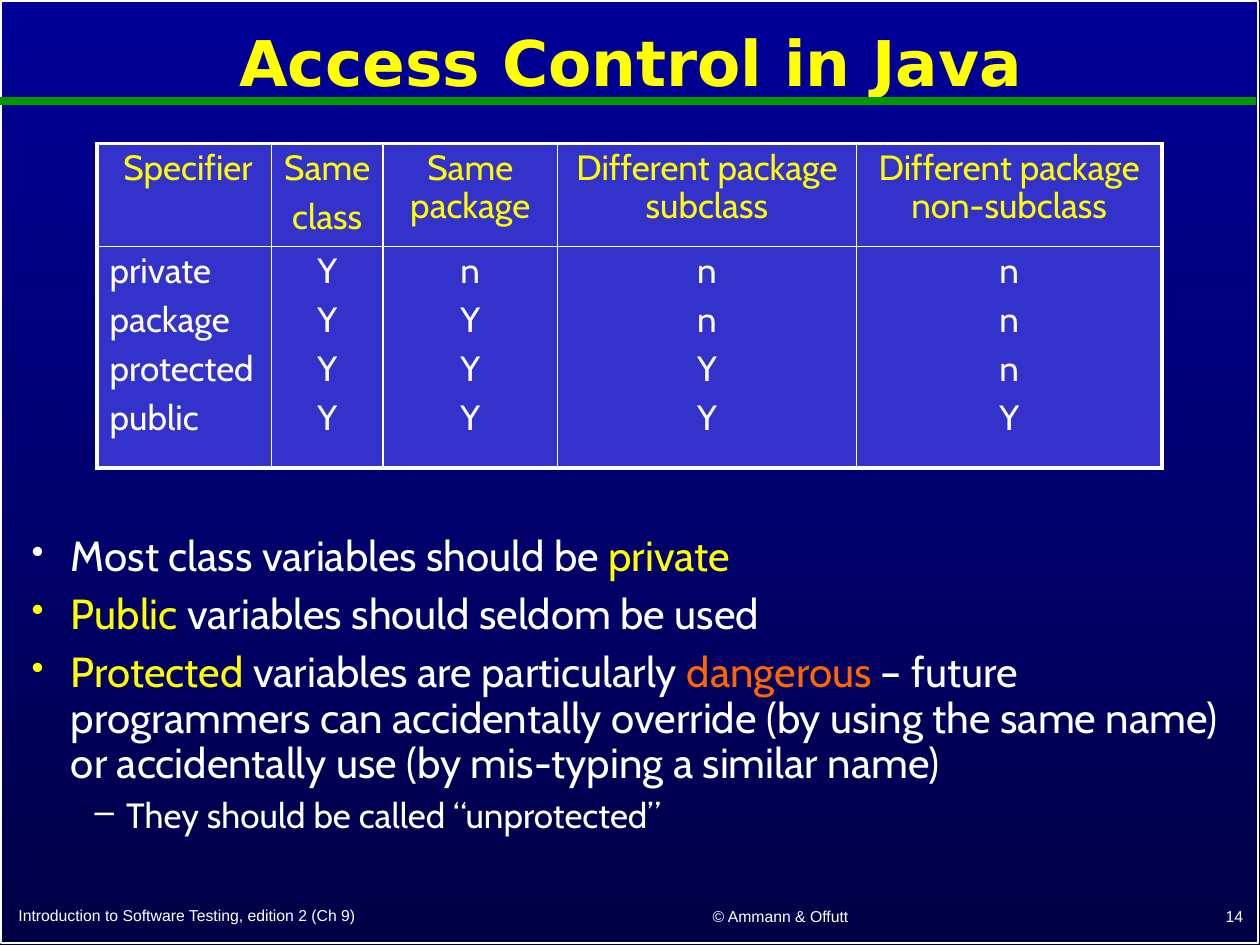
from dataclasses import dataclass

from lxml import etree
from pptx import Presentation
from pptx import util as u
from pptx.dml.color import RGBColor
from pptx.enum import shapes, text
from pptx.oxml import ns

LEFT, CENTER, RIGHT = text.PP_ALIGN.LEFT, text.PP_ALIGN.CENTER, text.PP_ALIGN.RIGHT
MIDDLE, TOP = text.MSO_ANCHOR.MIDDLE, text.MSO_ANCHOR.TOP


@dataclass(frozen=True)
class Theme:
    sky: str = "000099"
    deep: str = "000047"
    cell: str = "3333CC"
    plain: str = "FFFFFF"
    accent: str = "FFFF00"
    warning: str = "FF6600"
    rule: str = "009900"
    title_font: str = "DejaVu Sans"
    body_font: str = "Cabin"
    footer_font: str = "Arial"
    title_size: int = 36
    body_size: int = 24
    detail_size: int = 20
    footer_size: int = 9
    line_spacing: float = 0.9
    space_before: float = 0.3  # share of the type size


def rgb(code):
    return RGBColor.from_string(code)


def add_xml(parent, tag, **attributes):
    return etree.SubElement(parent, ns.qn(tag), attributes)


class SlideBuilder:
    def __init__(self, slide, theme):
        self.slide, self.theme = slide, theme

    def background(self):
        fill = self.slide.background.fill
        fill.gradient()
        fill.gradient_angle = 270
        for stop, color, position in zip(
            fill.gradient_stops, (self.theme.sky, self.theme.deep), (0, 1)
        ):
            stop.color.rgb = rgb(color)
            stop.position = position

    def frame(self, left, top, width, height):
        border = self.slide.shapes.add_shape(
            shapes.MSO_SHAPE.RECTANGLE, *map(u.Pt, (left, top, width, height))
        )
        border.shadow.inherit = False
        border.fill.background()
        border.line.color.rgb = rgb(self.theme.plain)
        border.line.width = u.Pt(1)

    def rule(self, y, end, weight):
        line = self.slide.shapes.add_connector(
            shapes.MSO_CONNECTOR.STRAIGHT, 0, u.Pt(y), u.Pt(end), u.Pt(y)
        )
        line.line.color.rgb = rgb(self.theme.rule)
        line.line.width = u.Pt(weight)
        add_xml(line._element.spPr, "a:effectLst")

    def runs(self, paragraph, pieces, font, size, bold=False):
        """Add (wording, colour) pieces to a paragraph."""
        for wording, color in pieces:
            run = paragraph.add_run()
            run.text = wording
            run.font.name, run.font.size, run.font.bold = font, u.Pt(size), bold
            run.font.color.rgb = rgb(color)

    def spacing(self, paragraph, first, size):
        paragraph.line_spacing = self.theme.line_spacing
        if not first:
            paragraph.space_before = u.Pt(size * self.theme.space_before)

    def title(self, wording, left, top, width, height):
        heading = self.slide.shapes.title
        heading.left, heading.top = u.Pt(left), u.Pt(top)
        heading.width, heading.height = u.Pt(width), u.Pt(height)
        frame = heading.text_frame
        frame.vertical_anchor, frame.word_wrap = MIDDLE, True
        frame.auto_size = text.MSO_AUTO_SIZE.NONE
        paragraph = frame.paragraphs[0]
        paragraph.alignment = CENTER
        self.spacing(paragraph, True, self.theme.title_size)
        self.runs(paragraph, [(wording, self.theme.accent)],
                  self.theme.title_font, self.theme.title_size, True)

    def text_frame(self, left, top, width, height, anchor):
        box = self.slide.shapes.add_textbox(*map(u.Pt, (left, top, width, height)))
        box.text_frame.word_wrap = True
        box.text_frame.vertical_anchor = anchor
        return box.text_frame

    def footer(self, wording, left, top, width, height, align):
        paragraph = self.text_frame(left, top, width, height, MIDDLE).paragraphs[0]
        paragraph.alignment = align
        self.runs(paragraph, [(wording, self.theme.plain)],
                  self.theme.footer_font, self.theme.footer_size)

    def bullets(self, points, left, top, width, height):
        """Draw (level, pieces) points as a two-level list."""
        theme = self.theme
        styles = [(22.5, 22.5, "•", 85, theme.body_size),
                  (54, 18, "–", 100, theme.detail_size)]
        frame = self.text_frame(left, top, width, height, TOP)
        for index, (level, pieces) in enumerate(points):
            margin, hanging, mark, percent, size = styles[level]
            paragraph = frame.add_paragraph() if index else frame.paragraphs[0]
            paragraph.level = level
            self.spacing(paragraph, index == 0, size)
            properties = paragraph._p.get_or_add_pPr()
            properties.set("marL", str(u.Pt(margin)))
            properties.set("indent", str(-u.Pt(hanging)))
            add_xml(properties, "a:buSzPct", val=str(percent * 1000))
            add_xml(properties, "a:buChar", char=mark)
            self.runs(paragraph, pieces, theme.body_font, size)

    def cell_borders(self, cell, weights):
        properties = cell._tc.get_or_add_tcPr()
        for side, weight in weights.items():
            line = add_xml(properties, f"a:ln{side}", w=str(u.Pt(weight)))
            solid = add_xml(line, "a:solidFill")
            add_xml(solid, "a:srgbClr", val=self.theme.plain)

    def table(self, rows, left, top, widths, heights):
        """Draw rows whose cells are lists of lines; the first row is the header."""
        theme = self.theme
        grid = self.slide.shapes.add_table(
            len(heights), len(widths),
            *map(u.Pt, (left, top, sum(widths), sum(heights)))
        ).table
        for column, width in zip(grid.columns, widths):
            column.width = u.Pt(width)
        last_row, last_column = len(heights) - 1, len(widths) - 1
        for r, (row, height) in enumerate(zip(rows, heights)):
            grid.rows[r].height = u.Pt(height)
            for c, lines in enumerate(row):
                cell = grid.cell(r, c)
                outer = {"L": c == 0, "R": c == last_column,
                         "T": r == 0, "B": r == last_row}
                self.cell_borders(
                    cell, {side: 2.25 if edge else 1 for side, edge in outer.items()})
                cell.fill.solid()
                cell.fill.fore_color.rgb = rgb(theme.cell)
                for index, line in enumerate(lines):
                    frame = cell.text_frame
                    paragraph = frame.add_paragraph() if index else frame.paragraphs[0]
                    paragraph.alignment = LEFT if r and c == 0 else CENTER
                    self.spacing(paragraph, index == 0, theme.detail_size)
                    self.runs(paragraph, [(line, theme.plain if r else theme.accent)],
                              theme.body_font, theme.detail_size)


def main():
    deck = Presentation()
    deck.slide_width, deck.slide_height = u.Pt(720), u.Pt(540)
    theme = Theme()
    page = SlideBuilder(deck.slides.add_slide(deck.slide_layouts[5]), theme)
    plain, accent = theme.plain, theme.accent

    page.background()
    page.frame(0.75, 0.75, 718, 538)
    page.rule(57.5, 718, 4.5)
    page.footer("© Ammann & Offutt", 332, 512.5, 228, 22.5, CENTER)
    page.footer("14", 567.5, 512, 150, 23, RIGHT)
    page.title("Access Control in Java", 13.5, 8, 694, 60)

    header = [[" Specifier"], ["Same", "class"], ["Same package"],
              ["Different package subclass"], ["Different package non-subclass"]]
    specifiers = ["private", "package", "protected", "public"]
    access = ["YYYY", "nYYY", "nnYY", "nnnY"]  # one string per column
    page.table([header, [specifiers, *map(list, access)]], 55.5, 82,
               [99.5, 64, 99.5, 171, 174.5], [59, 126.5])

    page.bullets([
        (0, [("Most class variables should be ", plain), ("private", accent)]),
        (0, [("Public", accent), (" variables should seldom be used", plain)]),
        (0, [("Protected", accent), (" variables are particularly ", plain),
             ("dangerous", theme.warning),
             (" – future programmers can accidentally override (by using the same "
              "name) or accidentally use (by mis-typing a similar name)", plain)]),
        (1, [("They should be called “unprotected”", plain)]),
    ], 11, 302.5, 698, 191.5)
    page.footer("Introduction to Software Testing, edition 2 (Ch 9)",
                3.5, 512, 315.5, 21.5, LEFT)
    deck.save("out.pptx")


if __name__ == "__main__":
    main()
